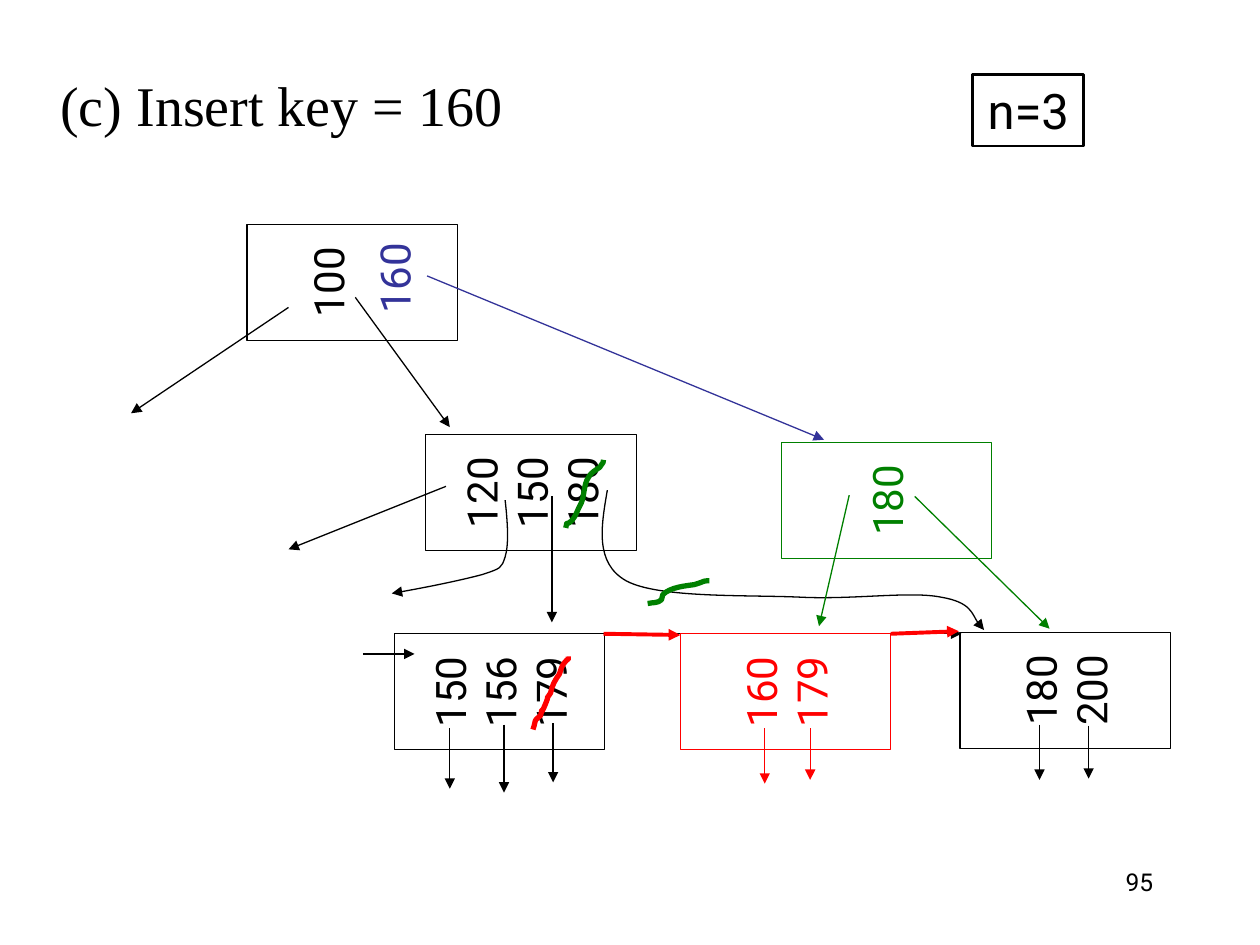
from dataclasses import dataclass

from lxml.etree import SubElement
from pptx import Presentation
from pptx.dml.color import RGBColor
from pptx.enum.shapes import MSO_CONNECTOR as Connector, MSO_SHAPE as Shape
from pptx.enum.text import MSO_ANCHOR as Anchor, PP_ALIGN as Align
from pptx.oxml.ns import qn
from pptx.util import Inches, Pt


@dataclass(frozen=True)
class Theme:
    black: RGBColor = RGBColor(0x00, 0x00, 0x00)
    white: RGBColor = RGBColor(0xFF, 0xFF, 0xFF)
    blue: RGBColor = RGBColor(0x33, 0x33, 0x99)
    green: RGBColor = RGBColor(0x00, 0x80, 0x00)
    red: RGBColor = RGBColor(0xFF, 0x00, 0x00)
    sans: str = "Roboto"
    serif: str = "Times New Roman"
    title_size: int = 32
    order_size: int = 28
    key_size: int = 24
    number_size: int = 14
    thin: float = 0.75
    frame: float = 1.5
    link: float = 2.25
    strike: float = 3


THEME = Theme()
NODE_WIDTH, NODE_HEIGHT = 1.67, 0.92


def write_lines(shape, lines, size, color=THEME.black, font=THEME.sans,
                align=Align.CENTER, anchor=Anchor.MIDDLE, wrap=False):
    frame = shape.text_frame
    frame.word_wrap = wrap
    frame.vertical_anchor = anchor
    for index, line in enumerate(lines):
        paragraph = frame.add_paragraph() if index else frame.paragraphs[0]
        paragraph.alignment = align
        run = paragraph.add_run()
        run.text = line
        run.font.name = font
        run.font.size = Pt(size)
        run.font.color.rgb = color


def add_label(shapes, box, text, size, **style):
    label = shapes.add_textbox(*map(Inches, box))
    write_lines(label, [text], size, **style)
    return label


def style_line(shape, color, width, arrow=False):
    shape.line.color.rgb = color
    shape.line.width = Pt(width)
    if arrow:
        SubElement(shape.line._get_or_add_ln(), qn("a:tailEnd"), type="triangle")


def add_rectangle(shapes, box, color, width):
    rectangle = shapes.add_shape(Shape.RECTANGLE, *map(Inches, box))
    rectangle.shadow.inherit = False
    rectangle.fill.solid()
    rectangle.fill.fore_color.rgb = THEME.white
    style_line(rectangle, color, width)
    return rectangle


def add_node(shapes, left, top, keys, color=THEME.black):
    """Place a tree node by its visible corner; it is turned so keys read upwards."""
    turn = (NODE_WIDTH - NODE_HEIGHT) / 2
    box = (left + turn, top - turn, NODE_HEIGHT, NODE_WIDTH)
    node = add_rectangle(shapes, box, color, THEME.thin)
    node.rotation = 270
    write_lines(node, keys, THEME.key_size, color)
    return node


def add_arrow(shapes, start, end, color=THEME.black, width=THEME.thin):
    arrow = shapes.add_connector(Connector.STRAIGHT, *map(Inches, start + end))
    style_line(arrow, color, width, arrow=True)
    SubElement(arrow._element.spPr, qn("a:effectLst"))


def add_down_arrows(shapes, arrows, color=THEME.black):
    for x, top, bottom in arrows:
        add_arrow(shapes, (x, top), (x, bottom), color)


def add_curve(shapes, points, color, width, arrow=False):
    """Draw cubic curves: a start point, then two controls and an end for each."""
    start, *rest = [(Inches(x), Inches(y)) for x, y in points]
    builder = shapes.build_freeform(*start)
    builder.add_line_segments(rest, close=False)
    curve = builder.convert_to_shape()
    segments = list(curve._element.iter(qn("a:lnTo")))
    outline = segments[0].getparent()
    for first in range(0, len(segments), 3):
        cubic = SubElement(outline, qn("a:cubicBezTo"))
        for segment in segments[first:first + 3]:
            cubic.append(segment[0])
            outline.remove(segment)
    curve.shadow.inherit = False
    curve.fill.background()
    style_line(curve, color, width, arrow)


def add_headings(shapes):
    add_label(shapes, (7.17, 6.83, 2.08, 0.5), "95", THEME.number_size,
              align=Align.RIGHT, anchor=Anchor.TOP, wrap=True)
    add_label(shapes, (0.38, 0.46, 4.76, 0.74), "(c) Insert key = 160",
              THEME.title_size, font=THEME.serif, align=Align.LEFT, wrap=True)
    order = add_rectangle(shapes, (7.72, 0.59, 0.88, 0.57), THEME.black, THEME.frame)
    write_lines(order, ["n=3"], THEME.order_size)


def add_old_tree(shapes):
    root = add_node(shapes, 1.96, 1.78, ["100"])
    root.text_frame.margin_bottom = Inches(0.44)  # room for the second key
    add_node(shapes, 3.38, 3.45, ["120", "150", "180"])
    add_node(shapes, 3.13, 5.03, ["150", "156", "179"])
    add_node(shapes, 7.62, 5.02, ["180", "200"])
    for start, end in [
        ((2.29, 2.44), (1.04, 3.28)),
        ((2.82, 2.36), (3.57, 3.39)),
        ((3.54, 3.86), (2.29, 4.36)),
        ((2.88, 5.19), (3.29, 5.19)),
        ((4.79, 5.03), (7.63, 5.03)),
    ]:
        add_arrow(shapes, start, end)
    add_down_arrows(shapes, [
        (4.38, 3.94, 4.94), (3.57, 5.78, 6.26), (4, 5.75, 6.29),
        (4.39, 5.74, 6.21), (8.25, 5.75, 6.19), (8.64, 5.76, 6.18),
    ])
    for points in [
        [(4.01, 3.97), (4.03, 4.15), (4.04, 4.32), (4.01, 4.42), (3.98, 4.51),
         (3.98, 4.51), (3.83, 4.56), (3.68, 4.6), (3.4, 4.66), (3.11, 4.71)],
        [(4.82, 3.89), (4.77, 4.18), (4.72, 4.47), (4.97, 4.61), (5.23, 4.75),
         (5.94, 4.72), (6.36, 4.74), (6.78, 4.76), (7.23, 4.69), (7.47, 4.74),
         (7.71, 4.78), (7.75, 4.96), (7.81, 5)],
    ]:
        add_curve(shapes, points, THEME.black, THEME.thin, arrow=True)


def add_root_key(shapes):
    key = add_label(shapes, (2.74, 1.96, 0.77, 0.5), "160", THEME.key_size,
                    color=THEME.blue)
    key.rotation = 270
    add_arrow(shapes, (3.39, 2.19), (6.54, 3.49), THEME.blue)


def add_split_inner_node(shapes):
    add_node(shapes, 6.2, 3.51, ["180"], THEME.green)
    add_arrow(shapes, (6.74, 3.93), (6.5, 4.97), THEME.green)
    add_arrow(shapes, (7.26, 3.94), (8.33, 4.99), THEME.green)
    for points in [
        [(5.14, 4.79), (5.18, 4.78), (5.22, 4.79), (5.25, 4.76), (5.26, 4.75),
         (5.25, 4.73), (5.26, 4.72), (5.32, 4.66), (5.44, 4.65), (5.51, 4.64),
         (5.61, 4.61), (5.57, 4.61), (5.63, 4.61)],
        [(4.49, 4.19), (4.51, 4.11), (4.48, 4.19), (4.54, 4.13), (4.57, 4.1),
         (4.59, 4.03), (4.61, 4), (4.64, 3.94), (4.63, 3.85), (4.67, 3.79),
         (4.69, 3.75), (4.73, 3.73), (4.76, 3.71), (4.79, 3.66), (4.79, 3.68),
         (4.79, 3.65)],
    ]:
        add_curve(shapes, points, THEME.green, THEME.strike)


def add_split_leaf(shapes):
    add_node(shapes, 5.4, 5.03, ["160", "179"], THEME.red)
    add_arrow(shapes, (4.79, 5.03), (5.4, 5.04), THEME.red, THEME.link)
    add_arrow(shapes, (7.07, 5.03), (7.61, 5.01), THEME.red, THEME.link)
    add_down_arrows(shapes, [(6.07, 5.78, 6.22), (6.43, 5.78, 6.19)], THEME.red)
    add_curve(shapes, [
        (4.23, 5.79), (4.26, 5.7), (4.23, 5.73), (4.29, 5.68), (4.32, 5.57),
        (4.27, 5.72), (4.32, 5.61), (4.38, 5.47), (4.31, 5.59), (4.37, 5.5),
        (4.38, 5.44), (4.41, 5.39), (4.44, 5.35), (4.45, 5.32), (4.46, 5.28),
        (4.48, 5.26), (4.52, 5.21), (4.51, 5.25), (4.51, 5.21),
    ], THEME.red, THEME.strike)


def main():
    presentation = Presentation()
    presentation.slide_width = Inches(10)
    presentation.slide_height = Inches(7.5)
    slide = presentation.slides.add_slide(presentation.slide_layouts[6])
    add_headings(slide.shapes)
    add_old_tree(slide.shapes)
    for add_change in (add_root_key, add_split_inner_node, add_split_leaf):
        add_change(slide.shapes.add_group_shape().shapes)
    presentation.save("out.pptx")


if __name__ == "__main__":
    main()
